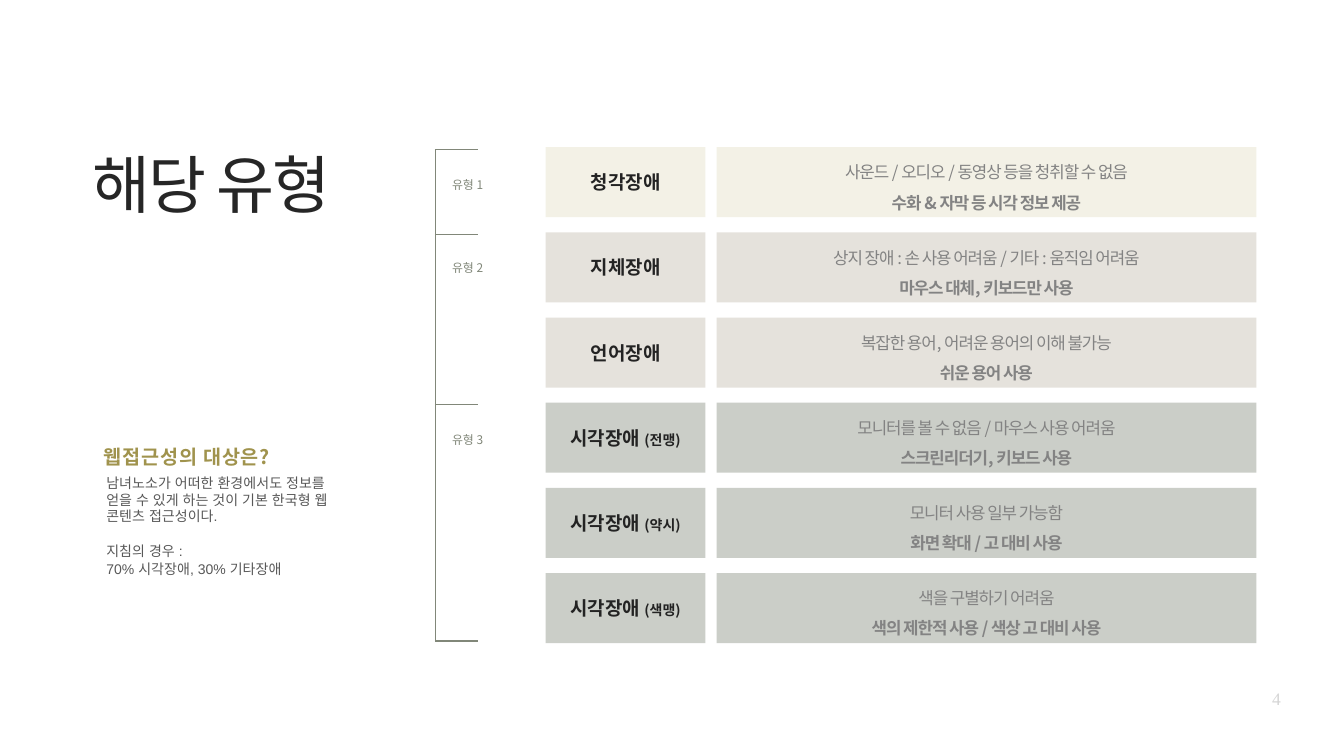
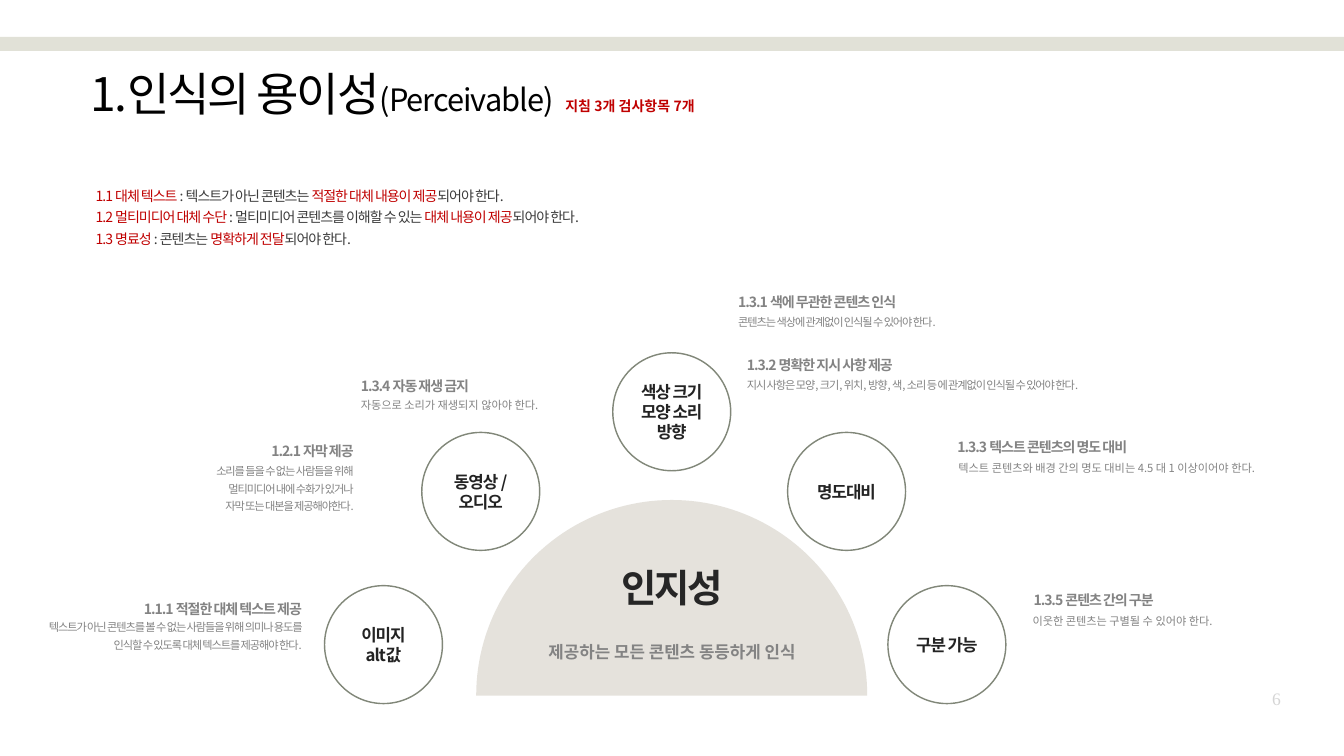
import math

import pptx
import pptx.dml.color
import pptx.enum.shapes
import pptx.enum.text
import pptx.oxml
import pptx.oxml.ns
import pptx.util

Inches = pptx.util.Inches
Pt = pptx.util.Pt
SHAPE = pptx.enum.shapes.MSO_SHAPE
ANCHOR = pptx.enum.text.MSO_ANCHOR
ALIGN = pptx.enum.text.PP_ALIGN

SANS = "Noto Sans CJK KR"
INK = "232323"
TITLE_INK = "262626"
GRAY = "838383"
OUTLINE = "818779"
RED = "C00000"
DARK = "3C3C3C"
GOLD = "A0934D"
CREAM = "F3F1E6"
BEIGE = "E5E2DC"
SAGE = "CBCEC8"
BAND = "E1E1D7"
WHITE = "FFFFFF"


def rgb(value):
    return pptx.dml.color.RGBColor.from_string(value)


def xml_child(parent, tag):
    child = parent.makeelement(pptx.oxml.ns.qn(tag), {})
    parent.append(child)
    return child


def format_font(font, size=None, color=None, bold=None, spacing=None, name=None):
    if name:
        font.name = name
        xml_child(font._element, "a:ea").set("typeface", name)
    if size:
        font.size = Pt(size)
    if color:
        font.color.rgb = rgb(color)
    if bold is not None:
        font.bold = bold
    if spacing is not None:
        font._element.set("spc", str(round(spacing * 100)))


class Deck:
    def __init__(self, width, height):
        self.presentation = pptx.Presentation()
        self.presentation.slide_width = Inches(width)
        self.presentation.slide_height = Inches(height)
        self.slide = None

    def start_slide(self, layout, number):
        self.slide = self.presentation.slides.add_slide(
            self.presentation.slide_layouts[layout])
        self.text((25.08, 13.6, 0.5, 0.53), [str(number)], size=25, color="D5D5D5",
                  name="Times New Roman", align=ALIGN.CENTER, wrap=False)

    def set_text(self, shape, paragraphs, align=ALIGN.LEFT, line_spacing=1.0, before=0,
                 indent=None, inset=0.06, anchor=ANCHOR.TOP, wrap=True, name=SANS, **style):
        frame = shape.text_frame
        frame.word_wrap = wrap
        frame.auto_size = pptx.enum.text.MSO_AUTO_SIZE.NONE
        frame.vertical_anchor = anchor
        frame.margin_left = frame.margin_right = Inches(inset)
        frame.margin_top = frame.margin_bottom = Inches(inset)
        for index, content in enumerate(paragraphs):
            paragraph = frame.paragraphs[0] if index == 0 else frame.add_paragraph()
            paragraph.alignment = align
            paragraph.line_spacing = line_spacing
            paragraph.space_before = Pt(before if index else 0)
            if indent is not None:
                properties = paragraph._p.get_or_add_pPr()
                properties.set("marL", str(Inches(indent)))
                properties.set("indent", "0")
                xml_child(properties, "a:buNone")
            format_font(paragraph.font, name=name, **style)
            runs = [(content, {})] if isinstance(content, str) else content
            for text, changes in runs:
                run = paragraph.add_run()
                run.text = text
                format_font(run.font, **changes)
        return frame

    def place(self, shape, box):
        shape.left, shape.top, shape.width, shape.height = map(Inches, box)
        return shape

    def title(self, box, runs, **style):
        shape = self.place(self.slide.shapes.title, box)
        self.set_text(shape, [runs], spacing=-3, **style)

    def body(self, box, paragraphs, **style):
        shape = self.place(self.slide.placeholders[1], box)
        return self.set_text(shape, paragraphs, **style)

    def text(self, box, paragraphs, **style):
        shape = self.slide.shapes.add_textbox(*map(Inches, box))
        return self.set_text(shape, paragraphs, **style)

    def paint(self, shape, fill, outline=None):
        shape.shadow.inherit = False
        shape.fill.solid()
        shape.fill.fore_color.rgb = rgb(fill)
        if outline:
            shape.line.color.rgb = rgb(outline)
            shape.line.width = Pt(2)
        else:
            shape.line.fill.background()

    def block(self, box, fill, paragraphs=(), kind=SHAPE.RECTANGLE, outline=None, **style):
        shape = self.slide.shapes.add_shape(kind, *map(Inches, box))
        self.paint(shape, fill, outline)
        if paragraphs:
            self.set_text(shape, paragraphs, align=ALIGN.CENTER, anchor=ANCHOR.MIDDLE, **style)

    def circle(self, left, top, lines):
        self.block((left, top, 2.34, 2.34), WHITE, lines, kind=SHAPE.OVAL, outline=OUTLINE,
                   inset=0.09, size=24, color=INK, bold=True, spacing=-1.5)

    def half_disc(self, center, base, radius, fill, steps=90):
        points = []
        for step in range(steps + 1):
            angle = math.pi * step / steps
            points.append((Inches(center - radius * math.cos(angle)),
                           Inches(base - radius * math.sin(angle))))
        builder = self.slide.shapes.build_freeform(*points[0])
        builder.add_line_segments(points[1:], close=True)
        self.paint(builder.convert_to_shape(), fill)

    def lines(self, segments):
        group = self.slide.shapes.add_group_shape()
        for segment in segments:
            connector = group.shapes.add_connector(
                pptx.enum.shapes.MSO_CONNECTOR.STRAIGHT, *map(Inches, segment))
            connector.line.color.rgb = rgb(OUTLINE)
            connector.line.width = Pt(2)
            xml_child(connector._element.spPr, "a:effectLst")

    def criterion(self, heading_box, heading, note_box, note, align=ALIGN.LEFT, spacing=-1.5):
        shared = {"align": align, "inset": 0.08, "color": GRAY}
        self.text(heading_box, [heading], size=20, bold=True, spacing=-1.5,
                  line_spacing=1.5, **shared)
        self.text(note_box, note, size=16, spacing=spacing, line_spacing=1.3, **shared)


def build_types(deck):
    deck.start_slide(1, 4)
    deck.title((1.78, 2.82, 6.01, 2.08), "해당 유형", size=90, color=TITLE_INK)
    frame = deck.body(
        (2.04, 9.35, 4.77, 3.38),
        ["남녀노소가 어떠한 환경에서도 정보를 얻을 수 있게 하는 것이 기본 한국형 웹 콘텐츠 접근성이다.",
         "지침의 경우 :",
         "70% 시각장애, 30% 기타장애"],
        size=20, color="585858", name="Arial", indent=0.01, before=1.1)
    frame.paragraphs[1].space_before = Pt(26)
    deck.text((1.97, 8.6, 4.84, 0.64),
              [[("웹접근성의 ", {}), ("대상은?", {"spacing": 0.9})]],
              size=28, color=GOLD, bold=True, spacing=1.4, line_spacing=1.3, inset=0.08)

    rows = [
        (CREAM, "청각장애", "", "사운드 / 오디오 / 동영상 등을 청취할 수 없음", "수화 & 자막 등 시각 정보 제공"),
        (BEIGE, "지체장애", "", "상지 장애 : 손 사용 어려움 / 기타 : 움직임 어려움", "마우스 대체, 키보드만 사용"),
        (BEIGE, "언어장애", "", "복잡한 용어, 어려운 용어의 이해 불가능", "쉬운 용어 사용"),
        (SAGE, "시각장애", "(전맹)", "모니터를 볼 수 없음 / 마우스 사용 어려움", "스크린리더기, 키보드 사용"),
        (SAGE, "시각장애", "(약시)", "모니터 사용 일부 가능함", "화면 확대 / 고 대비 사용"),
        (SAGE, "시각장애", "(색맹)", "색을 구별하기 어려움", "색의 제한적 사용 / 색상 고 대비 사용"),
    ]
    for index, (fill, name, detail, difficulty, remedy) in enumerate(rows):
        top = 2.92 + 1.69 * index
        label = [(name + " ", {}), (detail, {"size": 20})] if detail else name
        deck.block((10.83, top, 3.17, 1.39), fill, [label], size=27, color=INK, bold=True)
        deck.block((14.22, top, 10.71, 1.39), fill, [difficulty, [(remedy, {"bold": True})]],
                   size=24, color=GRAY, spacing=-1.5, line_spacing=1.5)

    for number, top in enumerate((3.38, 5.02, 8.43), 1):
        deck.text((8.91, top, 1.48, 0.49), [f"유형 {number}"],
                  size=17, color=OUTLINE, line_spacing=1.3)
    branches = [(8.63, y, 9.48, y) for y in (2.97, 4.65, 8.03, 12.72)]
    deck.lines(branches + [(8.64, 2.97, 8.64, 12.72)])


def build_perceivable(deck):
    deck.start_slide(5, 6)
    deck.block((0, 0.73, 26.67, 0.28), BAND)
    deck.title((1.74, 1.24, 13.83, 1.31),
               [("1.인식의 용이성", {}),
                ("(Perceivable)", {"size": 44, "spacing": -1.5}),
                (" ", {"size": 44, "spacing": 7}),
                ("지침 3개 검사항목 7개", {"size": 20, "color": RED, "spacing": 0, "bold": True})],
               size=66, color="000000")

    guidelines = [
        ("1.1 대체 텍스트 ", ": 텍스트가 아닌 콘텐츠는 ", "적절한 대체 내용이 제공"),
        ("1.2 멀티미디어 대체 수단 ", ": 멀티미디어 콘텐츠를 이해할 수 있는 ", "대체 내용이 제공"),
        ("1.3 명료성 ", ": 콘텐츠는 ", "명확하게 전달"),
    ]
    red = {"color": RED}
    deck.text((1.74, 3.66, 10.93, 1.28),
              [[(name, red), (subject, {}), (demand, red), ("되어야 한다.", {})]
               for name, subject, demand in guidelines],
              size=20, color=DARK, spacing=-1.5, before=6.5, indent=0.1)

    deck.half_disc(13.33, 13.8, 3.88, BEIGE)
    deck.text((11.06, 11.14, 4.55, 1.37), ["인지성"], align=ALIGN.CENTER,
              size=55, color=TITLE_INK, bold=True, spacing=-3)
    deck.text((10.43, 12.46, 5.81, 0.68), ["제공하는 모든 콘텐츠 동등하게 인식"],
              align=ALIGN.CENTER, size=24, color=GRAY, bold=True, line_spacing=1.5, inset=0.08)

    for left, top, lines in [
        (6.44, 11.62, ["이미지", "alt값"]),
        (8.37, 8.58, ["동영상 /", "오디오"]),
        (12.16, 7, ["색상 크기", "모양 소리", "방향"]),
        (15.63, 8.58, ["명도대비"]),
        (17.62, 11.62, ["구분 가능"]),
    ]:
        deck.circle(left, top, lines)

    deck.criterion((1.11, 11.67, 4.96, 0.58), "1.1.1 적절한 대체 텍스트 제공",
                   (0.71, 12.15, 5.36, 1.39),
                   ["텍스트가 아닌 콘텐츠를 볼 수 없는 사람들을 위해 의미나 용도를 "
                    "인식할 수 있도록 대체 텍스트를 제공해야 한다."], align=ALIGN.RIGHT)
    deck.criterion((2.14, 8.53, 4.96, 0.58), "1.2.1 자막 제공",
                   (2.14, 9.06, 4.96, 1.39),
                   ["소리를 들을 수 없는 사람들을 위해", "멀티미디어 내에 수화가 있거나",
                    "자막 또는 대본을 제공해야한다."], align=ALIGN.RIGHT)
    deck.criterion((14.57, 5.58, 4.96, 0.58), "1.3.1 색에 무관한 콘텐츠 인식",
                   (14.57, 6.1, 4.96, 0.49),
                   ["콘텐츠는 색상에 관계없이 인식될 수 있어야 한다."])
    deck.criterion((14.74, 6.83, 4.96, 0.58), "1.3.2 명확한 지시 사항 제공",
                   (14.74, 7.35, 8.71, 0.93),
                   ["지시 사항은 모양, 크기, 위치, 방향, 색, 소리 등 에 관계없이 인식될 수 있어야 한다."])
    deck.criterion((18.92, 8.46, 4.96, 0.58), "1.3.3 텍스트 콘텐츠의 명도 대비",
                   (18.94, 9, 6.64, 0.7),
                   ["텍스트 콘텐츠와 배경 간의 명도 대비는 4.5 대 1 이상이어야 한다."], spacing=0)
    deck.criterion((7.08, 7.24, 4.96, 0.58), "1.3.4 자동 재생 금지",
                   (7.08, 7.75, 4.96, 1.39),
                   ["자동으로 소리가 재생되지 않아야 한다."], spacing=0)
    deck.criterion((20.43, 11.48, 4.96, 0.58), "1.3.5 콘텐츠 간의 구분",
                   (20.41, 12.02, 4.25, 0.7),
                   ["이웃한 콘텐츠는 구별될 수 있어야 한다."], spacing=0)


def main():
    deck = Deck(26.67, 15)
    build_types(deck)
    build_perceivable(deck)
    deck.presentation.save("out.pptx")


if __name__ == "__main__":
    main()
